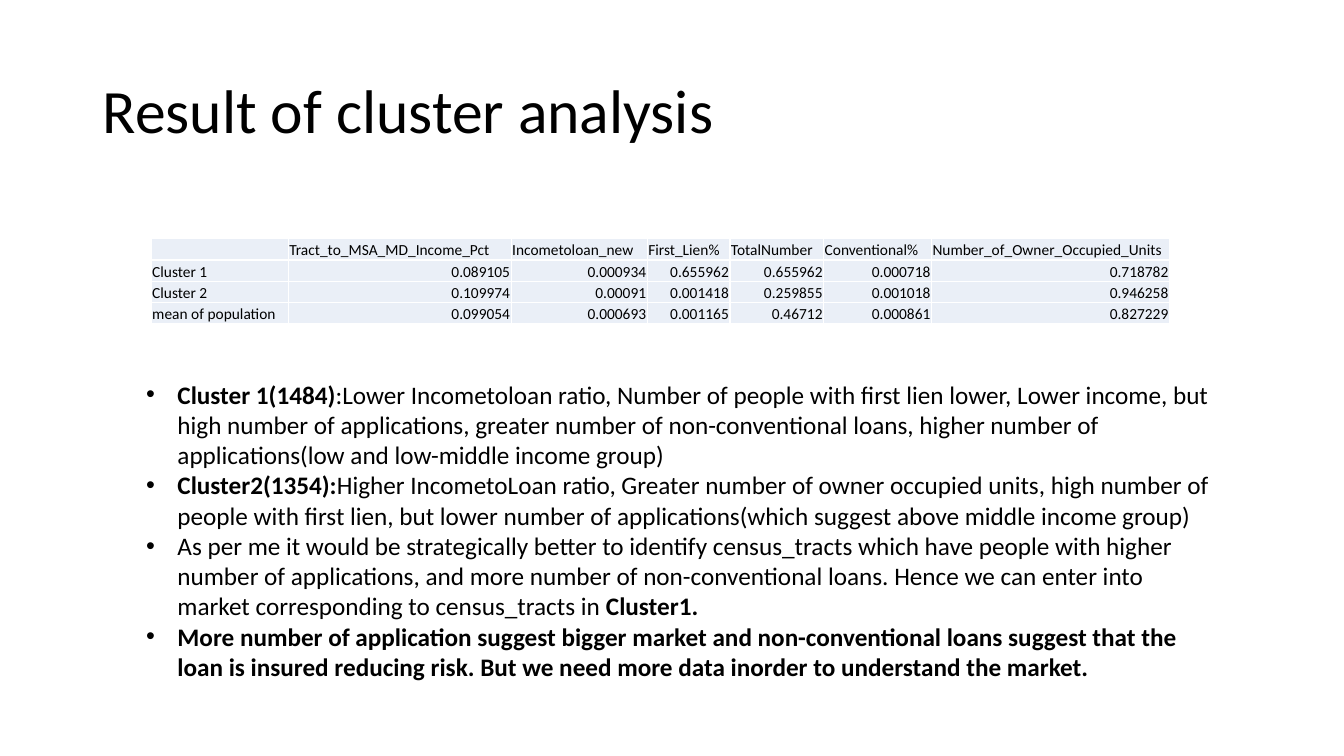
from dataclasses import dataclass

from lxml.etree import SubElement
from pptx import Presentation
from pptx.dml.color import RGBColor
from pptx.enum.text import MSO_ANCHOR as Anchor, MSO_AUTO_SIZE as AutoSize, PP_ALIGN as Align
from pptx.oxml.ns import qn
from pptx.shapes.placeholder import SlidePlaceholder as Placeholder
from pptx.slide import Slide
from pptx.table import _Cell as Cell
from pptx.text.text import Font
from pptx.util import Inches, Pt

BLACK = RGBColor(0x00, 0x00, 0x00)
WHITE = RGBColor(0xFF, 0xFF, 0xFF)
PALE_BLUE = RGBColor(0xEA, 0xEF, 0xF7)
TYPEFACE = "Calibri"
TITLE_SIZE, FINDING_SIZE, TABLE_SIZE = 44, 18, 11
HANGING = Inches(0.31)
ROW_HEIGHT = Inches(0.21)


@dataclass(frozen=True)
class Box:
    left: float
    top: float
    width: float
    height: float


@dataclass(frozen=True)
class Measure:
    heading: str
    width: float
    values: tuple[str, str, str]


@dataclass(frozen=True)
class Phrase:
    text: str
    bold: bool = False


TITLE_BOX = Box(0.92, 0.4, 11.5, 1.45)
TABLE_BOX = Box(1.5, 2.37, 10.1, 0.84)
FINDINGS_BOX = Box(1.35, 3.71, 10.81, 3.74)

MEASURES = (
    Measure("", 1.36, ("Cluster 1", "Cluster 2", "mean of population")),
    Measure("Tract_to_MSA_MD_Income_Pct", 2.21, ("0.089105", "0.109974", "0.099054")),
    Measure("Incometoloan_new", 1.35, ("0.000934", "0.00091", "0.000693")),
    Measure("First_Lien%", 0.82, ("0.655962", "0.001418", "0.001165")),
    Measure("TotalNumber", 0.93, ("0.655962", "0.259855", "0.46712")),
    Measure("Conventional%", 1.07, ("0.000718", "0.001018", "0.000861")),
    Measure("Number_of_Owner_Occupied_Units", 2.36, ("0.718782", "0.946258", "0.827229")),
)

FINDINGS = (
    (
        Phrase("Cluster 1(1484)", True),
        Phrase(
            ":Lower Incometoloan ratio, Number of people with first lien lower, Lower income, "
            "but high number of applications, greater number of non-conventional loans, "
            "higher number of applications(low and low-middle income group)"
        ),
    ),
    (
        Phrase("Cluster2(1354):", True),
        Phrase(
            "Higher IncometoLoan ratio, Greater number of owner occupied units, high number of "
            "people with first lien, but lower number of applications(which suggest above "
            "middle income group)"
        ),
    ),
    (
        Phrase(
            "As per me it would be strategically better to identify census_tracts which have "
            "people with higher number of applications, and more number of non-conventional "
            "loans. Hence we can enter into market corresponding to census_tracts in "
        ),
        Phrase("Cluster1.", True),
    ),
    (
        Phrase(
            "More number of application suggest bigger market and non-conventional loans suggest "
            "that the loan is insured reducing risk. But we need more data inorder to understand "
            "the market.",
            True,
        ),
    ),
)


def style_font(font: Font, size: float, bold: bool = False) -> None:
    font.name = TYPEFACE
    font.size = Pt(size)
    font.bold = bold
    font.color.rgb = BLACK


def place(holder: Placeholder, box: Box, anchor: Anchor) -> None:
    holder.left, holder.top = Inches(box.left), Inches(box.top)
    holder.width, holder.height = Inches(box.width), Inches(box.height)
    holder.text_frame.word_wrap = True
    holder.text_frame.auto_size = AutoSize.NONE
    holder.text_frame.vertical_anchor = anchor


def write_title(title: Placeholder) -> None:
    place(title, TITLE_BOX, Anchor.MIDDLE)
    title.text_frame.text = "Result of cluster analysis"
    heading = title.text_frame.paragraphs[0]
    heading.alignment = Align.LEFT
    heading.line_spacing = 0.9
    style_font(heading.runs[0].font, TITLE_SIZE)


def write_findings(body: Placeholder) -> None:
    place(body, FINDINGS_BOX, Anchor.TOP)
    frame = body.text_frame
    for index, phrases in enumerate(FINDINGS):
        finding = frame.add_paragraph() if index else frame.paragraphs[0]
        finding.alignment = Align.LEFT
        finding.space_before = Pt(0)
        properties = finding._p.get_or_add_pPr()
        properties.set("marL", str(HANGING))
        properties.set("indent", str(-HANGING))
        SubElement(properties, qn("a:buFont"), typeface="Arial")
        SubElement(properties, qn("a:buChar"), char="•")
        for phrase in phrases:
            run = finding.add_run()
            run.text = phrase.text
            style_font(run.font, FINDING_SIZE, phrase.bold)


def fill_cell(cell: Cell, text: str, alignment: Align) -> None:
    cell.fill.solid()
    cell.fill.fore_color.rgb = PALE_BLUE
    cell.margin_left = cell.margin_right = cell.margin_top = Inches(0.01)
    cell.margin_bottom = 0
    cell.vertical_anchor = Anchor.BOTTOM
    cell.text_frame.text = text
    entry = cell.text_frame.paragraphs[0]
    entry.alignment = alignment
    for run in entry.runs:
        style_font(run.font, TABLE_SIZE)
    SubElement(entry._p, qn("a:endParaRPr"), sz=str(TABLE_SIZE * 100))


def draw_cluster_table(slide: Slide) -> None:
    clusters = slide.shapes.add_table(
        len(MEASURES[0].values) + 1, len(MEASURES),
        Inches(TABLE_BOX.left), Inches(TABLE_BOX.top),
        Inches(TABLE_BOX.width), Inches(TABLE_BOX.height),
    ).table
    clusters.first_row = clusters.horz_banding = False
    for row in clusters.rows:
        row.height = ROW_HEIGHT
    for column, measure in enumerate(MEASURES):
        clusters.columns[column].width = Inches(measure.width)
        fill_cell(clusters.cell(0, column), measure.heading, Align.LEFT)
        alignment = Align.RIGHT if column else Align.LEFT
        for row, value in enumerate(measure.values, start=1):
            fill_cell(clusters.cell(row, column), value, alignment)


def main() -> None:
    deck = Presentation()
    deck.slide_width, deck.slide_height = Inches(13.33), Inches(7.5)
    slide = deck.slides.add_slide(deck.slide_layouts[1])
    slide.background.fill.solid()
    slide.background.fill.fore_color.rgb = WHITE
    write_title(slide.shapes.title)
    draw_cluster_table(slide)
    write_findings(slide.placeholders[1])
    deck.save("out.pptx")


if __name__ == "__main__":
    main()
